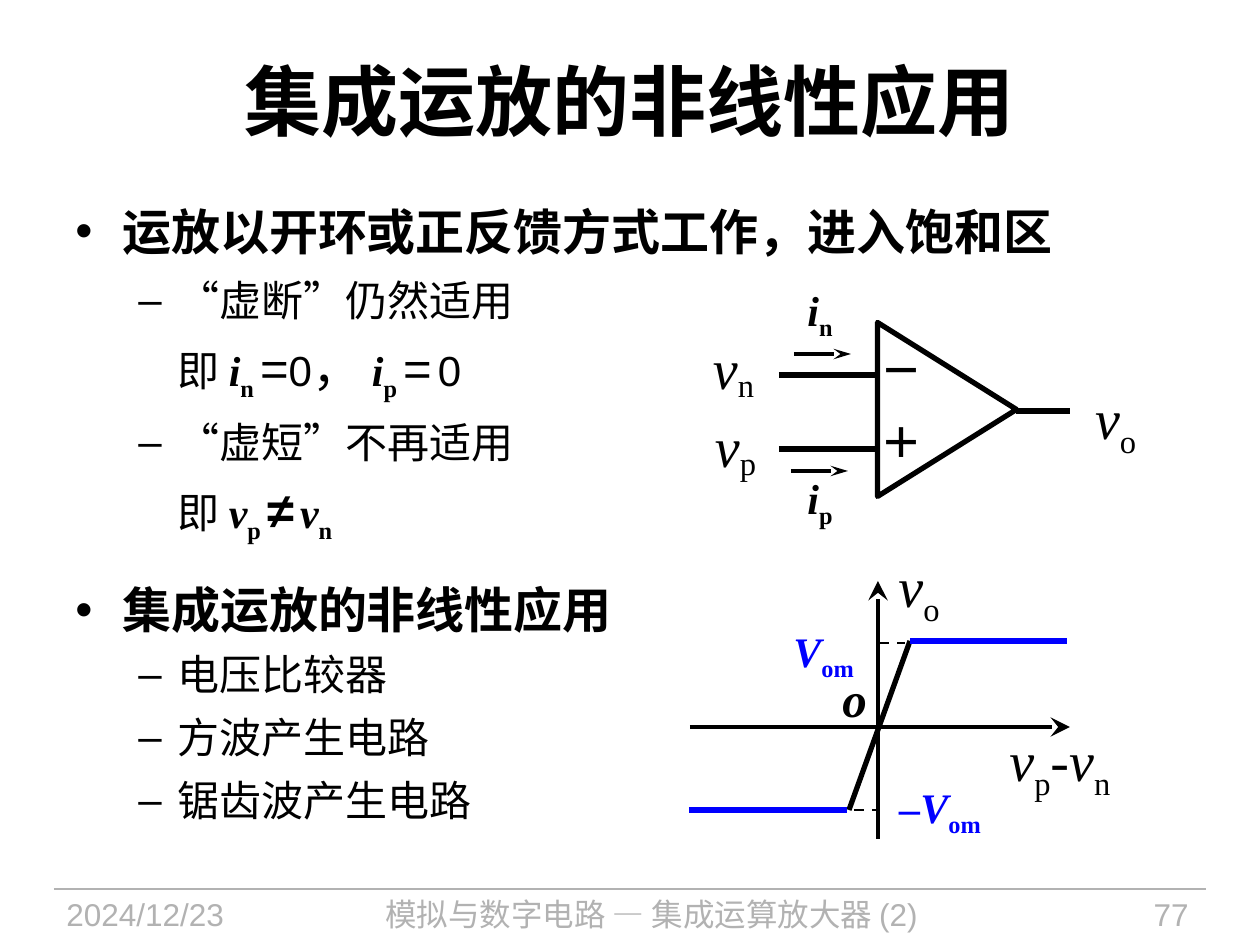
from lxml import etree
from pptx import Presentation
from pptx.dml.color import RGBColor
from pptx.enum.dml import MSO_LINE
from pptx.enum.shapes import MSO_CONNECTOR, MSO_SHAPE
from pptx.enum.text import MSO_ANCHOR, MSO_AUTO_SIZE, PP_ALIGN
from pptx.oxml.ns import qn
from pptx.util import Emu, Pt

STRAIGHT = MSO_CONNECTOR.STRAIGHT
TRIANGLE = MSO_SHAPE.ISOSCELES_TRIANGLE
DASH = MSO_LINE.DASH
TOP, MIDDLE = MSO_ANCHOR.TOP, MSO_ANCHOR.MIDDLE
GROW, FIXED = MSO_AUTO_SIZE.SHAPE_TO_FIT_TEXT, MSO_AUTO_SIZE.NONE
LEFT, CENTER, RIGHT = PP_ALIGN.LEFT, PP_ALIGN.CENTER, PP_ALIGN.RIGHT

PX_PER_INCH = 126
SANS, SERIF = "Arial", "Times New Roman"
BLACK, GREY, BLUE = "000000", "B2B2B2", "0000FF"

# Run styles
ITALIC = {"italic": True}
SUB = {"baseline": -25}
SMALL_SUB = {"baseline": -15}
SYMBOL = {"name": SERIF, "bold": True, "italic": True}
INDEX = {"name": SERIF, "bold": True, "baseline": -25}
LARGE = {"size": Pt(28)}

# Arrowhead width and length
WIDE_HEAD, SLIM_HEAD = ("lg", "lg"), ("med", "lg")


def px(length):
    return Emu(round(length * 914400 / PX_PER_INCH))


def color(hex_code):
    return RGBColor.from_string(hex_code)


class SlideBuilder:
    def __init__(self, slide, ink=BLACK):
        self.shapes = slide.shapes
        self.ink = ink

    def line(self, x1, y1, x2, y2, width, ink=None, dash=None, head=None):
        connector = self.shapes.add_connector(
            STRAIGHT, px(x1), px(y1), px(x2), px(y2))
        connector.line.color.rgb = color(ink or self.ink)
        connector.line.width = Pt(width)
        if dash is not None:
            connector.line.dash_style = dash
        if head:
            tail = etree.SubElement(connector.line._get_or_add_ln(), qn("a:tailEnd"))
            for key, value in zip(("type", "w", "len"), ("stealth", *head)):
                tail.set(key, value)
        etree.SubElement(connector._element.spPr, qn("a:effectLst"))

    def triangle(self, x, y, width, height, rotation, weight):
        shape = self.shapes.add_shape(TRIANGLE, px(x), px(y), px(width), px(height))
        shape.rotation = rotation
        shape.shadow.inherit = False
        shape.fill.background()
        shape.line.color.rgb = color(self.ink)
        shape.line.width = Pt(weight)

    def frame(self, x, y, width, height, wrap=True, anchor=TOP, grow=False, inset=True):
        frame = self.shapes.add_textbox(
            px(x), px(y), px(width), px(height)).text_frame
        frame.word_wrap = wrap
        frame.vertical_anchor = anchor
        frame.auto_size = GROW if grow else FIXED
        if not inset:
            frame.margin_left = frame.margin_right = 0
            frame.margin_top = frame.margin_bottom = 0
        return frame

    def fill(self, paragraph, runs, size, font=SANS, ink=None, bold=False,
             italic=False, align=LEFT, spacing=None):
        paragraph.alignment = align
        paragraph.line_spacing = spacing
        base = paragraph.font
        base.size, base.name = Pt(size), font
        base.bold, base.italic = bold, italic
        base.color.rgb = color(ink or self.ink)
        for text, style in runs:
            run = paragraph.add_run()
            run.text = text
            for key, value in style.items():
                if key == "baseline":
                    run._r.get_or_add_rPr().set("baseline", str(value * 1000))
                else:
                    setattr(run.font, key, value)

    def label(self, box, runs, size, wrap=True, anchor=TOP, grow=False,
              inset=True, **style):
        frame = self.frame(*box, wrap, anchor, grow, inset)
        self.fill(frame.paragraphs[0], runs, size, **style)

    def outline(self, box, items):
        frame = self.frame(*box)
        for number, (level, bullet, runs, before, after) in enumerate(items):
            paragraph = frame.add_paragraph() if number else frame.paragraphs[0]
            size, margin, hanging = ((28, 47, 47), (24, 102, 39))[level]
            paragraph.level = level
            paragraph.space_before = Pt(before)
            paragraph.space_after = Pt(round(size * after, 1))
            properties = paragraph._p.get_or_add_pPr()
            properties.set("marL", str(px(margin)))
            properties.set("indent", str(-px(hanging) if bullet else 0))
            if bullet:
                etree.SubElement(properties, qn("a:buFont")).set("typeface", SANS)
                etree.SubElement(properties, qn("a:buChar")).set("char", bullet)
            self.fill(paragraph, runs, size, bold=level == 0)


def topic(text, before=0, after=0.3):
    return 0, "•", [(text, {})], before, after


def point(text):
    return 1, "–", [(text, {})], 0, 0.3


def formula(*runs):
    return 1, None, [("即 ", {}), *runs], 0, 0.35


def main():
    deck = Presentation()
    deck.slide_width, deck.slide_height = px(1260), px(945)
    page = SlideBuilder(deck.slides.add_slide(deck.slide_layouts[6]))

    # Footer
    page.line(54, 889, 1206, 889, 0.75, GREY)
    for left, width, text, align in (
            (54, 237, "2024/12/23", LEFT),
            (314, 675, "模拟与数字电路 — 集成运算放大器 (2)", CENTER),
            (1033, 168, "77", RIGHT)):
        page.label((left, 889, width, 55), [(text, {})], 18, ink=GREY, align=align)

    # Title and outline
    page.label((63, 21, 1134, 158),
               [("集成", {"name": SERIF}), ("运放的非线性应用", {})], 44,
               anchor=MIDDLE, bold=True, align=CENTER)
    page.outline((63, 195, 1143, 684), [
        topic("运放以开环或正反馈方式工作，进入饱和区"),
        point("“虚断”仍然适用"),
        formula(("i", SYMBOL), ("n ", INDEX), ("=", LARGE), ("0", {}),
                ("， ", LARGE), ("i", SYMBOL), ("p ", INDEX), ("=", LARGE),
                (" ", INDEX), ("0", {})),
        point("“虚短”不再适用"),
        formula(("v", SYMBOL), ("p ", INDEX), ("≠", {**LARGE, "bold": True}),
                (" ", INDEX), ("v", SYMBOL), ("n", INDEX)),
        topic("集成运放的非线性应用", before=12, after=0.2),
        point("电压比较器"),
        point("方波产生电路"),
        point("锯齿波产生电路"),
    ])

    # Transfer curve: axes, saturation levels, linear part
    page.line(878, 839, 878, 581, 2.25, head=WIDE_HEAD)
    page.line(690, 727, 1070, 727, 2.25, head=WIDE_HEAD)
    page.line(854, 810, 879, 810, 1.5, dash=DASH)
    page.line(879, 643, 905, 643, 1.5, dash=DASH)
    page.line(910, 641, 849, 810, 3)
    page.line(910, 641, 1067, 641, 3, BLUE)
    page.line(689, 810, 847, 810, 3, BLUE)

    # Curve labels
    page.label((997, 696, 158, 100),
               [("v", ITALIC), ("p", SUB), ("-", {}), ("v", ITALIC), ("n", SUB)],
               32, grow=True, font=SERIF, spacing=1.3)
    page.label((886, 552, 91, 67), [("v", ITALIC), ("o", SUB)],
               32, grow=True, font=SERIF, spacing=0.8)
    for box, sign in (((781, 619, 91, 63), "V"), ((887, 775, 112, 63), "–V")):
        page.label(box, [(sign, ITALIC), ("om", SUB)], 24, wrap=False,
                   grow=True, font=SERIF, ink=BLUE, bold=True)
    page.label((830, 662, 50, 72), [("o", {})], 28, wrap=False, grow=True,
               font=SERIF, bold=True, italic=True)

    # Op-amp symbol, its leads and the signs inside it
    page.triangle(860, 340, 174, 139, 90, 3)
    page.line(1016, 411, 1070, 411, 3)
    for y in (375, 449):
        page.line(779, y, 879, y, 3)
    for top, sign in ((338, "－"), (410, "＋")):
        page.label((852, top, 100, 63), [(sign, {})], 24, anchor=MIDDLE,
                   inset=False, font=SERIF, bold=True, align=CENTER)

    # Op-amp voltages
    for left, top, index, lowered in (
            (713, 319, "n", SMALL_SUB), (715, 397, "p", SMALL_SUB),
            (1095, 368, "o", SUB)):
        page.label((left, top, 43, 81), [("v", ITALIC), (index, lowered)], 32,
                   wrap=False, grow=True, inset=False, font=SERIF, spacing=1.2)

    # Input currents
    for top, index, arrow_x, arrow_y in ((278, "n", 794, 354), (466, "p", 791, 471)):
        page.label((795, top, 73, 63), [("i", ITALIC), (index, SUB)], 24,
                   grow=True, font=SERIF, bold=True)
        page.line(arrow_x, arrow_y, arrow_x + 57, arrow_y, 2, head=SLIM_HEAD)

    deck.save("out.pptx")


if __name__ == "__main__":
    main()
